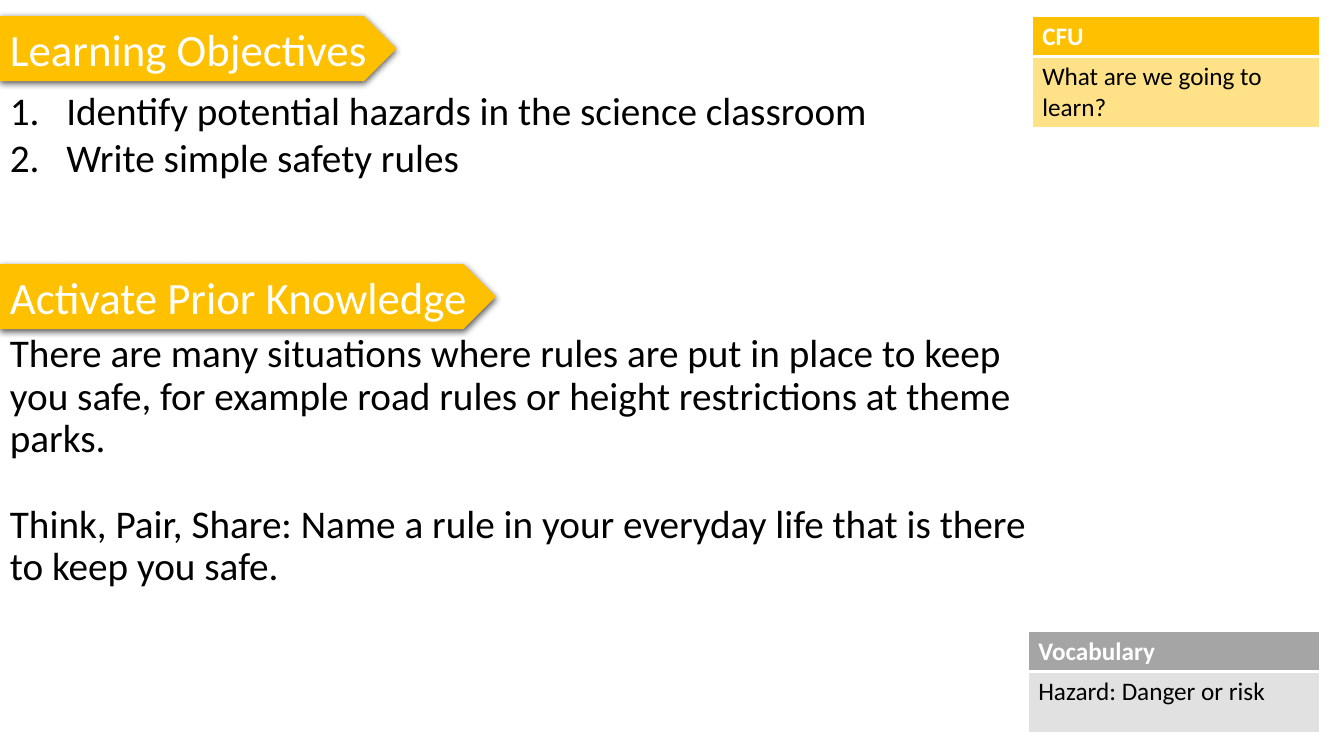
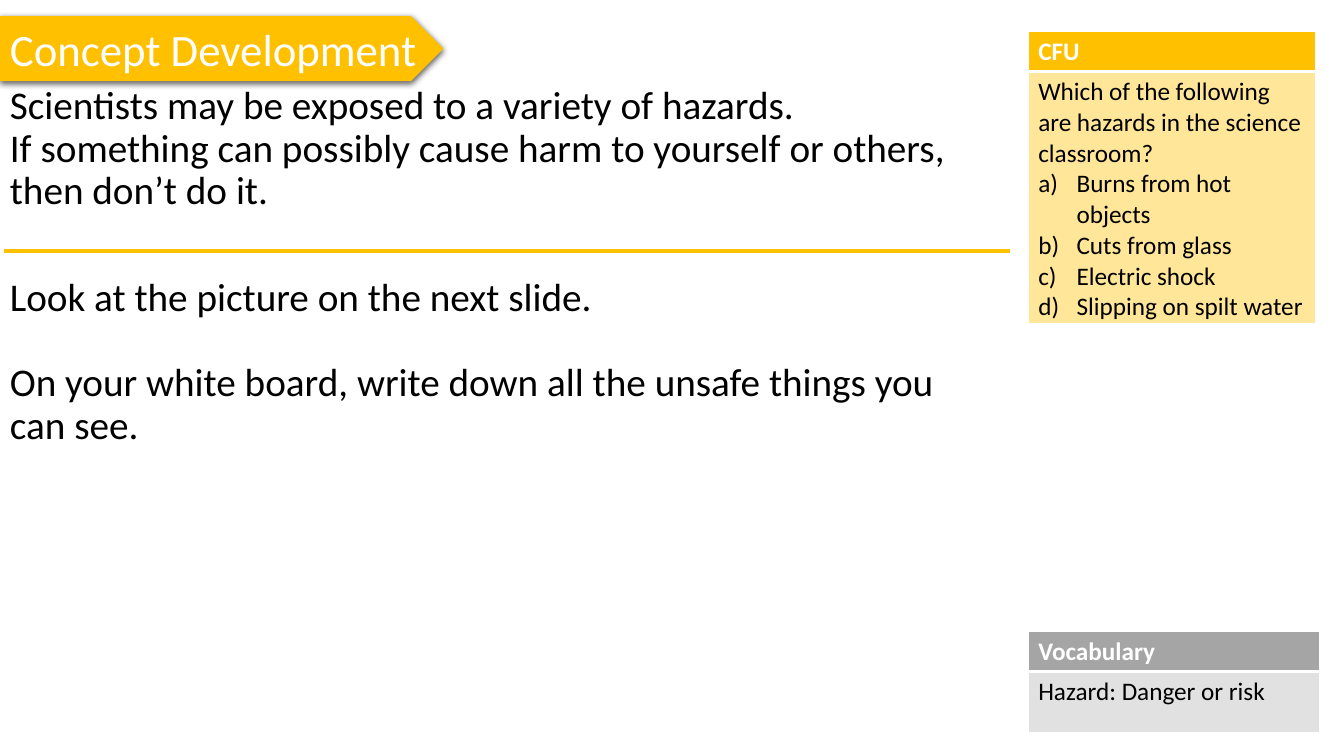
"""Build two science safety lesson slides."""
import pptx
import pptx.dml.color
import pptx.enum.shapes
import pptx.enum.text
import pptx.oxml
import pptx.oxml.ns
import pptx.util
from lxml import etree

INK = {"gold": "FFC000", "pale": "FFE187", "cream": "FFE699", "grey": "A5A5A5",
       "mist": "E1E1E1", "white": "FFFFFF", "black": "000000"}
FONT = "Calibri"
NS = pptx.oxml.ns.nsdecls("a")
LEFT = pptx.enum.text.PP_ALIGN.LEFT
MID = pptx.enum.text.MSO_ANCHOR.MIDDLE

deck = pptx.Presentation()
deck.slide_width = pptx.util.Inches(13.33)
deck.slide_height = pptx.util.Inches(7.5)
COL = deck.slide_width / 100
ROW = deck.slide_height / 100


def grid(x, y, wide, high):
    return [round(x * COL), round(y * ROW), round(wide * COL), round(high * ROW)]


def write(frame, text, size=28, color="black", bold=False, lead=None, gap=0, mark=None, dent=0):
    para = frame.add_paragraph() if frame.text else frame.paragraphs[0]
    para.alignment = LEFT
    if lead:
        para.line_spacing = lead
    if gap:
        para.space_before = pptx.util.Pt(gap)
    if mark:
        props = para._p.get_or_add_pPr()
        inset = pptx.util.Inches(dent)
        props.set("marL", str(inset))
        props.set("indent", str(-inset))
        props.append(pptx.oxml.parse_xml(f'<a:buFont {NS} typeface="+mj-lt"/>'))
        props.append(pptx.oxml.parse_xml(f'<a:buAutoNum {NS} type="{mark}"/>'))
    run = para.add_run()
    run.text = text
    run.font.name = FONT
    run.font.size = pptx.util.Pt(size)
    run.font.bold = bold
    run.font.color.rgb = pptx.dml.color.RGBColor.from_string(INK[color])


BODY = {"lead": 0.9}
APART = {"lead": 0.9, "gap": 31}
COUNT = {"mark": "arabicPeriod", "dent": 0.56}
PICK = {"mark": "alphaLcParenR", "dent": 0.38}
VOCAB = ("Vocabulary", (76.5, 83.5, 21.7), 8.1, "grey", "mist",
         [("Hazard: Danger or risk", {})])

pages = [
    {
        "heads": [("Learning Objectives", 2.13, 29.5),
                  ("Activate Prior Knowledge", 34.93, 36.9)],
        "texts": [
            ((0, 10.8, 66, 13.9), [
                ("Identify potential hazards in the science classroom", COUNT),
                ("Write simple safety rules", COUNT)]),
            ((0, 43.5, 79.8, 46.8), [
                ("There are many situations where rules are put in place to keep you safe, "
                 "for example road rules or height restrictions at theme parks.", BODY),
                ("Think, Pair, Share: Name a rule in your everyday life that is there "
                 "to keep you safe.", APART)])],
        "cards": [("CFU", (76.8, 2.13, 21.4), 9.4, "gold", "pale",
                   [("What are we going to learn?", {})]), VOCAB],
        "rules": [],
    },
    {
        "heads": [("Concept Development", 2.13, 33)],
        "texts": [
            ((0, 10.7, 73.2, 18.3), [
                ("Scientists may be exposed to a variety of hazards.", BODY),
                ("If something can possibly cause harm to yourself or others, "
                 "then don’t do it.", BODY)]),
            ((0, 36, 73.2, 36.1), [
                ("Look at the picture on the next slide.", BODY),
                ("On your white board, write down all the unsafe things you can see.", APART)])],
        "cards": [VOCAB, ("CFU", (76.5, 4.13, 21.4), 33.4, "gold", "cream", [
            ("Which of the following are hazards in the science classroom?", {}),
            ("Burns from hot objects", PICK),
            ("Cuts from glass", PICK),
            ("Electric shock", PICK),
            ("Slipping on spilt water", PICK)])],
        "rules": [(0.3, 75.15, 33.2)],
    },
]

for page in pages:
    slide = deck.slides.add_slide(deck.slide_layouts[6])

    for title, top, wide in page["heads"]:
        head = slide.shapes.add_shape(pptx.enum.shapes.MSO_SHAPE.PENTAGON,
                                      *grid(0, top, wide, 8.6))
        head.fill.solid()
        head.fill.fore_color.rgb = pptx.dml.color.RGBColor.from_string(INK["gold"])
        head.line.fill.background()
        head.shadow.inherit = False
        glow = head._element.spPr.find(pptx.oxml.ns.qn("a:effectLst"))
        glow.append(pptx.oxml.parse_xml(
            f'<a:outerShdw {NS} blurRad="57150" dist="19050" dir="5400000" algn="ctr" '
            f'rotWithShape="0"><a:srgbClr val="{INK["black"]}"><a:alpha val="63000"/>'
            '</a:srgbClr></a:outerShdw>'))
        head.text_frame.word_wrap = False
        head.text_frame.vertical_anchor = MID
        write(head.text_frame, title, size=32, color="white")

    for place, lines in page["texts"]:
        frame = slide.shapes.add_textbox(*grid(*place)).text_frame
        frame.word_wrap = True
        for line, look in lines:
            write(frame, line, **look)

    for title, (x, y, wide), deep, dark, light, lines in page["cards"]:
        rows = [5.2, deep]
        table = slide.shapes.add_table(2, 1, *grid(x, y, wide, sum(rows))).table
        parts = [(dark, 3, [(title, {"color": "white", "bold": True})]), (light, 1, lines)]
        for at, (fill, base, words) in enumerate(parts):
            table.rows[at].height = round(rows[at] * ROW)
            cell = table.cell(at, 0)
            props = cell._tc.get_or_add_tcPr()
            for side, width in (("L", 1), ("R", 1), ("T", 3 if at else 1), ("B", base)):
                edge = etree.SubElement(props, pptx.oxml.ns.qn(f"a:ln{side}"),
                                        w=str(pptx.util.Pt(width)))
                edge.append(pptx.oxml.parse_xml(
                    f'<a:solidFill {NS}><a:srgbClr val="{INK["white"]}"/></a:solidFill>'))
            cell.fill.solid()
            cell.fill.fore_color.rgb = pptx.dml.color.RGBColor.from_string(INK[fill])
            for line, look in words:
                write(cell.text_frame, line, size=18, **look)

    for start, end, y in page["rules"]:
        rule = slide.shapes.add_connector(pptx.enum.shapes.MSO_CONNECTOR.STRAIGHT,
                                          round(start * COL), round(y * ROW),
                                          round(end * COL), round(y * ROW))
        rule.line.color.rgb = pptx.dml.color.RGBColor.from_string(INK["gold"])
        rule.line.width = pptx.util.Pt(2.25)
        etree.SubElement(rule._element.spPr, pptx.oxml.ns.qn("a:effectLst"))

deck.save("out.pptx")
